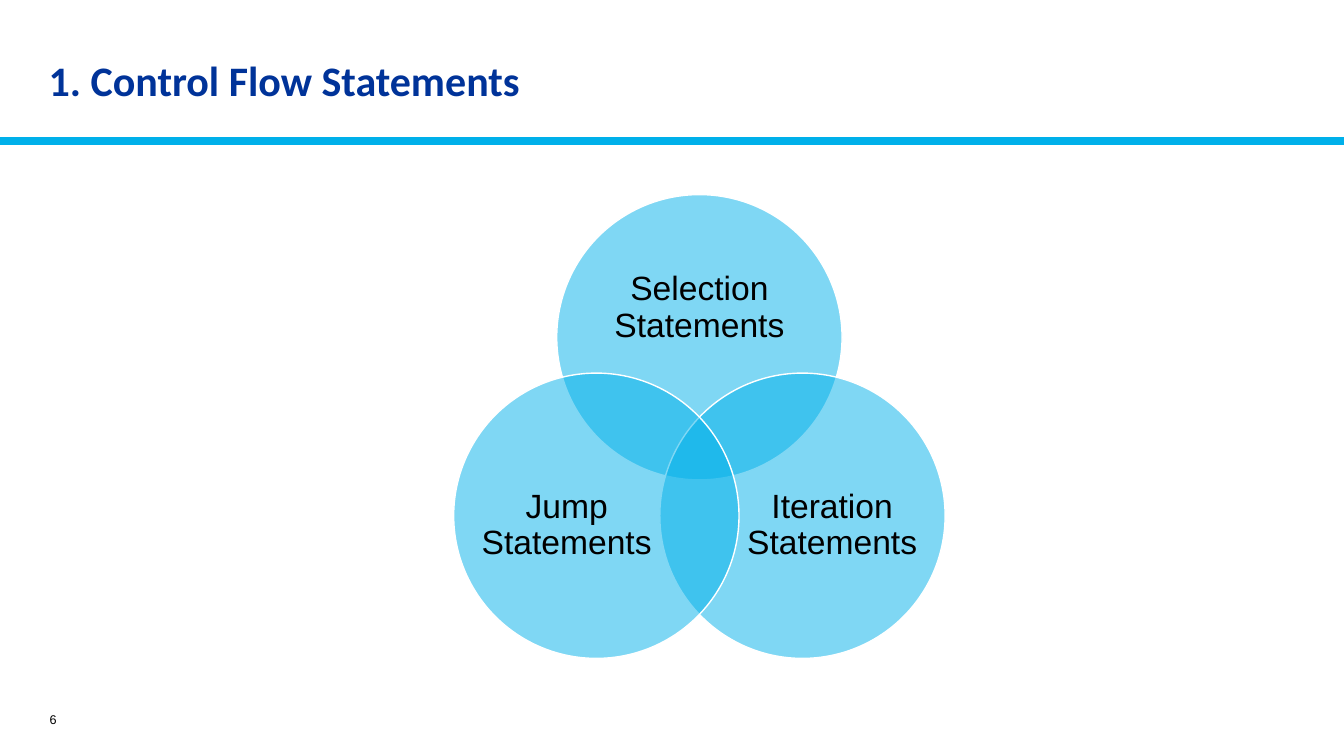
import math

import pptx
import pptx.util
from lxml import etree
from pptx.dml.color import RGBColor
from pptx.enum.shapes import MSO_CONNECTOR, MSO_SHAPE
from pptx.enum.text import MSO_ANCHOR, PP_ALIGN
from pptx.oxml.ns import qn

Pt = pptx.util.Pt

TITLE = "1. Control Flow Statements"
PAGE_NUMBER = "6"
# label, angle on the ring, label offset from circle centre, label size
STATEMENT_KINDS = [
    ("Selection Statements", -90, (0, -20.8), (150, 91.4)),
    ("Iteration Statements", 30, (21.2, 6.8), (122.6, 112.3)),
    ("Jump Statements", 150, (-21.2, 6.8), (122.6, 112.3)),
]

CYAN = RGBColor(0x00, 0xB0, 0xEA)
NAVY = RGBColor(0x00, 0x33, 0x99)
BLACK = RGBColor(0, 0, 0)
WHITE = RGBColor(255, 255, 255)

SLIDE_WIDTH, SLIDE_HEIGHT = 960, 540
RULE_Y = 100.8
RING_X, RING_Y, RING_RADIUS = 499.6, 325.9, 85
DIAMETER = 203.8


def add_text(slide, text, left, top, width, height, *, size, font="Arial",
             color=BLACK, bold=False, align=PP_ALIGN.LEFT,
             anchor=MSO_ANCHOR.MIDDLE, spacing=1.0, insets=(7.2, 3.6)):
    box = slide.shapes.add_textbox(Pt(left), Pt(top), Pt(width), Pt(height))
    frame = box.text_frame
    frame.word_wrap = True
    frame.vertical_anchor = anchor
    frame.margin_left = frame.margin_right = Pt(insets[0])
    frame.margin_top = frame.margin_bottom = Pt(insets[1])
    paragraph = frame.paragraphs[0]
    paragraph.alignment = align
    paragraph.line_spacing = spacing
    run = paragraph.add_run()
    run.text = text
    run.font.size = Pt(size)
    run.font.name = font
    run.font.bold = bold
    run.font.color.rgb = color


def add_header_rule(slide):
    rule = slide.shapes.add_connector(
        MSO_CONNECTOR.STRAIGHT, 0, Pt(RULE_Y), Pt(SLIDE_WIDTH), Pt(RULE_Y))
    rule.line.color.rgb = CYAN
    rule.line.width = Pt(6)
    etree.SubElement(rule._element.spPr, qn("a:effectLst"))


def add_venn_circle(slide, center_x, center_y):
    circle = slide.shapes.add_shape(
        MSO_SHAPE.OVAL, Pt(center_x - DIAMETER / 2), Pt(center_y - DIAMETER / 2),
        Pt(DIAMETER), Pt(DIAMETER))
    circle.shadow.inherit = False
    circle.fill.solid()
    circle.fill.fore_color.rgb = CYAN
    fill_color = circle._element.spPr.find(qn("a:solidFill")).find(qn("a:srgbClr"))
    etree.SubElement(fill_color, qn("a:alpha"), val="50000")
    circle.line.color.rgb = WHITE
    circle.line.width = Pt(1)


def main():
    deck = pptx.Presentation()
    deck.slide_width, deck.slide_height = Pt(SLIDE_WIDTH), Pt(SLIDE_HEIGHT)
    slide = deck.slides.add_slide(deck.slide_layouts[6])

    add_header_rule(slide)
    add_text(slide, TITLE, 27.7, 43, 649.4, 50, size=30, font="Calibri",
             color=NAVY, bold=True, anchor=MSO_ANCHOR.TOP, spacing=0.9,
             insets=(7.2, 0))
    add_text(slide, PAGE_NUMBER, 6.5, 503.3, 41, 21.6, size=9,
             align=PP_ALIGN.RIGHT)

    for label, degrees, (shift_x, shift_y), (width, height) in STATEMENT_KINDS:
        angle = math.radians(degrees)
        center_x = RING_X + RING_RADIUS * math.cos(angle)
        center_y = RING_Y + RING_RADIUS * math.sin(angle)
        add_venn_circle(slide, center_x, center_y)
        add_text(slide, label, center_x + shift_x - width / 2,
                 center_y + shift_y - height / 2, width, height, size=24,
                 align=PP_ALIGN.CENTER, spacing=0.9, insets=(0, 0))

    deck.save("out.pptx")


if __name__ == "__main__":
    main()
